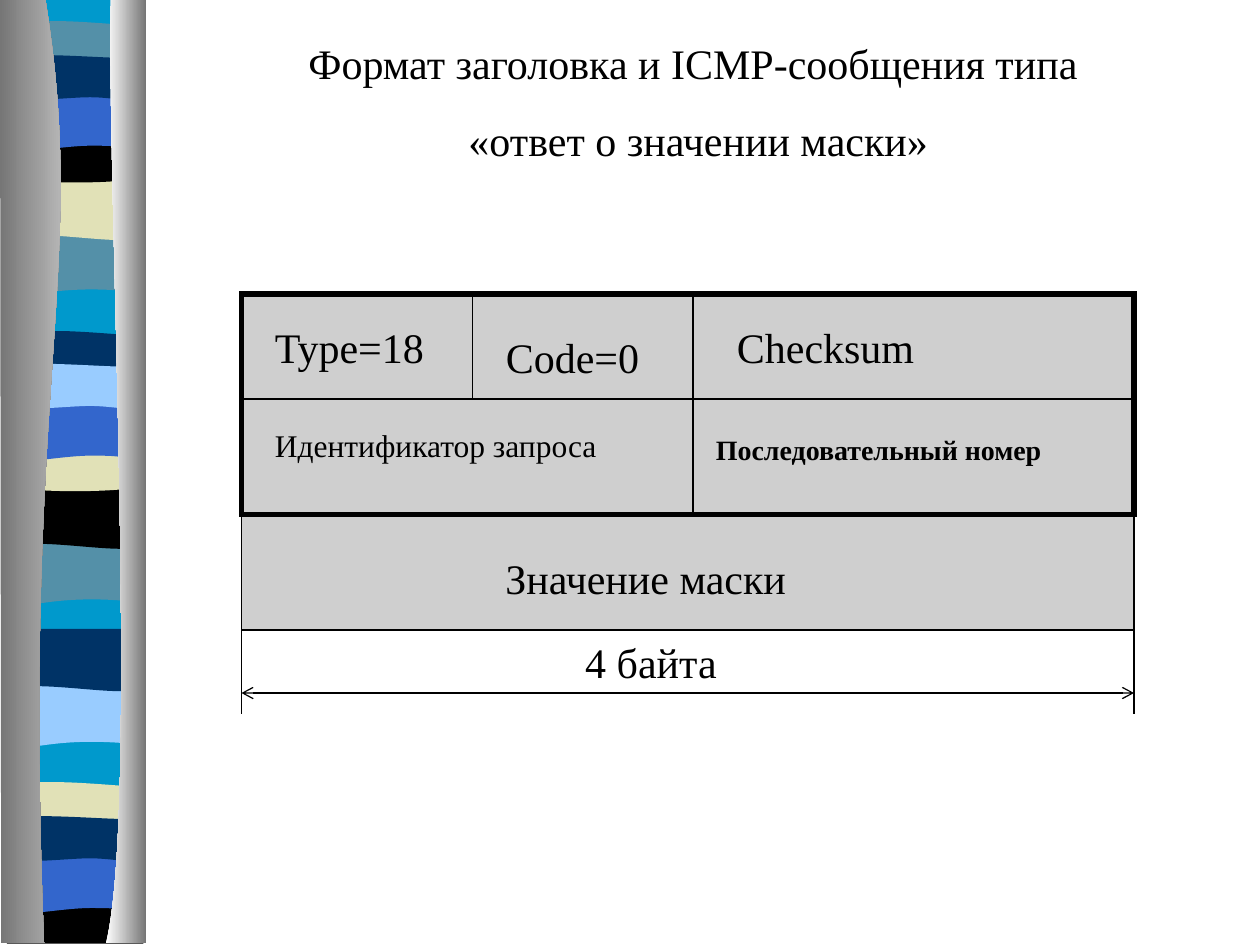
from pptx import Presentation
from pptx.dml.color import RGBColor
from pptx.enum.shapes import MSO_CONNECTOR, MSO_SHAPE
from pptx.enum.text import MSO_ANCHOR, MSO_AUTO_SIZE, PP_ALIGN
from pptx.oxml.ns import qn
from pptx.util import Pt
from lxml import etree

LINE, RECT = MSO_CONNECTOR.STRAIGHT, MSO_SHAPE.RECTANGLE
TOP, FIXED = MSO_ANCHOR.TOP, MSO_AUTO_SIZE.NONE
LEFT, MID = PP_ALIGN.LEFT, PP_ALIGN.CENTER
FONT = "Times New Roman"

BLACK = RGBColor(0x00, 0x00, 0x00)
WHITE = RGBColor(0xFF, 0xFF, 0xFF)
GREY = RGBColor(0xCF, 0xCF, 0xCF)
SHADE = RGBColor(0xB2, 0xB2, 0xB2)
DARK = RGBColor(0x76, 0x76, 0x76)
PALE = RGBColor(0xD3, 0xD3, 0xD3)
CYAN = RGBColor(0x00, 0x99, 0xCC)
STEEL = RGBColor(0x54, 0x90, 0xA8)
SAND = RGBColor(0xE1, 0xE1, 0xB7)
BLUE = RGBColor(0x33, 0x66, 0xCC)
NAVY = RGBColor(0x00, 0x33, 0x66)
SKY = RGBColor(0x99, 0xCC, 0xFF)

TITLE = ["Формат заголовка и ICMP-сообщения типа ", "«ответ о значении маски»"]

# Two numbers make a corner, six make a curve.
WAVES = {
    "sheet": [(78, 0), (78, 539), (0, 539), (0, 0)],
    "dip": [(78, 0), (78, 34), (24, 28, 13, 39.5, 0, 34), (0, 0)],
    "roll": [(78, 0), (78, 34), (65, 39.5, 24, 29.5, 0, 34), (0, 0)],
    "thin": [(78, 0), (78, 17), (65, 20.5, 13, 20.5, 0, 17), (0, 0),
             (4.5, -3.6, 17, -3, 30, -3), (42, -3, 68, -0.7, 78, 0)],
    "bowl": [(78, 0), (78, 23.5), (65, 27.5, 13, 27.5, 0, 23.5), (0, 0),
             (47.5, 3.6, 61, 0, 78, 0)],
    "arch": [(78, 0), (78, 34), (66, 30, 60.5, 30, 47.5, 30),
             (34.5, 30, 11.5, 34, 0, 34), (0, 0)],
    "flag": [(78, 0), (78, 22.5), (73, 26, 60.5, 22.5, 47.5, 22.5),
             (34.5, 22.5, 8, 26, 0, 22.5), (0, 0),
             (11, -3.6, 52.5, 0, 65.5, 0), (78.5, 0, 75.5, 0, 78, 0)],
    "foot": [(78, 0), (78, 26.6), (0, 26.6), (0, 0),
             (47.5, 3.6, 61, 0, 78, 0)],
}
BANDS = [
    ("sheet", 0, CYAN),
    ("dip", 133.2, STEEL), ("roll", 101.5, SAND), ("thin", 15.1, STEEL),
    ("bowl", 77.8, BLACK), ("arch", 53.3, BLUE), ("flag", 33.1, NAVY),
    ("dip", 310.3, STEEL), ("roll", 277.9, BLACK), ("thin", 192.2, NAVY),
    ("bowl", 254.2, SAND), ("arch", 230.4, BLUE), ("flag", 209.5, SKY),
    ("dip", 391.7, SKY), ("roll", 359.3, NAVY), ("thin", 450, SAND),
    ("foot", 512.6, BLACK), ("arch", 488.9, BLUE), ("flag", 468, NAVY),
]
PILLARS = [
    ([(26, 0), (51, 155.5, 12.2, 213, 25.2, 539), (0.7, 539), (0, 0)], DARK, PALE),
    ([(63.4, 0), (60.5, 90, 80, 465, 60.5, 539), (83.5, 539), (83.5, 0)], WHITE, DARK),
]

X0, X1, X2, X3 = 138, 270, 396, 648
Y0, Y1, Y2, Y3 = 168, 228, 294, 360
RULER, END = 396, 408
RULES = [(X0, Y2, X3, Y2), (X0, Y1, X3, Y1), (X2, Y0, X2, Y2),
         (X1, Y0, X1, Y1), (X0, Y3, X0, END), (X3, Y3, X3, END)]
LABELS = [
    ("Type=18", 150, 180, 114, 24, False, LEFT),
    ("Code=0", 282, 186, 102, 24, False, LEFT),
    ("Checksum", 414, 180, 204, 24, False, LEFT),
    ("Идентификатор запроса", 150, 240, 234, 18, False, LEFT),
    ("Последовательный номер", 402, 243.5, 234, 16, True, LEFT),
    ("Значение маски", 156, 312, 426, 24, False, MID),
    ("4 байта", 246, 360, 252, 24, False, MID),
]


def draw(shapes, steps, dx=0, dy=0):
    pts = [(Pt(s[i] + dx), Pt(s[i + 1] + dy))
           for s in steps for i in range(0, len(s), 2)]
    pen = shapes.build_freeform(*pts[0])
    pen.add_line_segments(pts[1:], close=True)
    shape = pen.convert_to_shape()
    shape.shadow.inherit = False
    shape.line.fill.background()
    legs = iter(list(shape._element.iter(qn("a:lnTo"))))
    for step in steps[1:]:
        leg = next(legs)
        if len(step) == 6:
            leg.tag = qn("a:cubicBezTo")
            for extra in (next(legs), next(legs)):
                leg.append(extra[0])
                extra.getparent().remove(extra)
    return shape


def ink(line, width):
    line.color.rgb = BLACK
    line.width = Pt(width)
    ln = line._get_or_add_ln()
    etree.SubElement(ln, qn("a:miter"), lim="800000")
    return ln


def rule(shapes, x1, y1, x2, y2, heads=False):
    line = shapes.add_connector(LINE, Pt(x1), Pt(y1), Pt(x2), Pt(y2))
    ln = ink(line.line, 0.75)
    if heads:
        for tag in ("a:headEnd", "a:tailEnd"):
            etree.SubElement(ln, qn(tag), type="arrow")
    etree.SubElement(line._element.spPr, qn("a:effectLst"))


def box(shapes, top, bottom, width, color=None):
    rect = shapes.add_shape(RECT, Pt(X0), Pt(top), Pt(X3 - X0), Pt(bottom - top))
    if color is None:
        rect.fill.background()
    else:
        rect.fill.solid()
        rect.fill.fore_color.rgb = color
    ink(rect.line, width)
    rect.shadow.inherit = False


def write(frame, lines, size, bold, align):
    frame.word_wrap = True
    frame.auto_size = FIXED
    frame.vertical_anchor = TOP
    frame.text = "\n".join(lines)
    for i, para in enumerate(frame.paragraphs):
        para.alignment = align
        para.space_before = Pt(15 if i else 0)
        for run in para.runs:
            font = run.font
            font.name, font.size, font.bold = FONT, Pt(size), bold
            font.color.rgb = BLACK


def main():
    deck = Presentation()
    deck.slide_width, deck.slide_height = Pt(720), Pt(540)
    slide = deck.slides.add_slide(deck.slide_layouts[5])
    shapes = slide.shapes

    art = []
    for kind, top, color in BANDS:
        band = draw(shapes, WAVES[kind], 4, top)
        band.fill.solid()
        band.fill.fore_color.rgb = color
        art.append(band)
    for steps, first, last in PILLARS:
        pillar = draw(shapes, steps)
        pillar.fill.gradient()
        pillar.fill.gradient_angle = 0
        for stop, color in zip(pillar.fill.gradient_stops, (first, last)):
            stop.color.rgb = color
        art.append(pillar)
    tree = deck.slide_master.shapes._spTree
    for n, shape in enumerate(art):
        shape._element.nvSpPr.cNvPr.set("id", str(100 + n))
        tree.append(shape._element)

    box(shapes, Y2, Y3, 0.75, SHADE)
    box(shapes, Y0, Y3, 0.75, GREY)
    for ends in RULES:
        rule(shapes, *ends)
    rule(shapes, X0, RULER, X3, RULER, heads=True)

    title = shapes.title
    title.left, title.top, title.width, title.height = Pt(108), Pt(18), Pt(582), Pt(80)
    write(title.text_frame, TITLE, 24, False, MID)
    for text, x, y, width, size, bold, align in LABELS:
        label = shapes.add_textbox(Pt(x), Pt(y), Pt(width), Pt(size * 1.2 + 7.2))
        write(label.text_frame, [text], size, bold, align)
    box(shapes, Y0, Y2, 3)

    deck.save("out.pptx")


if __name__ == "__main__":
    main()
